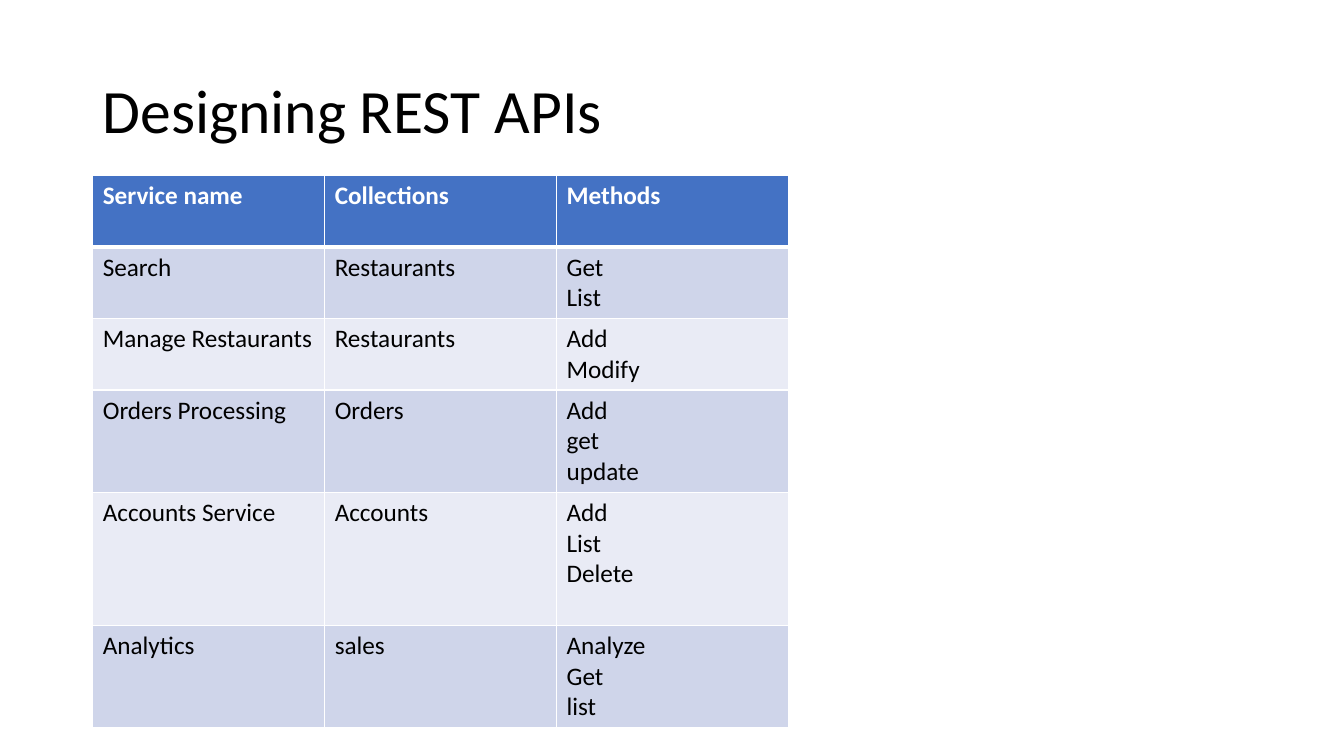
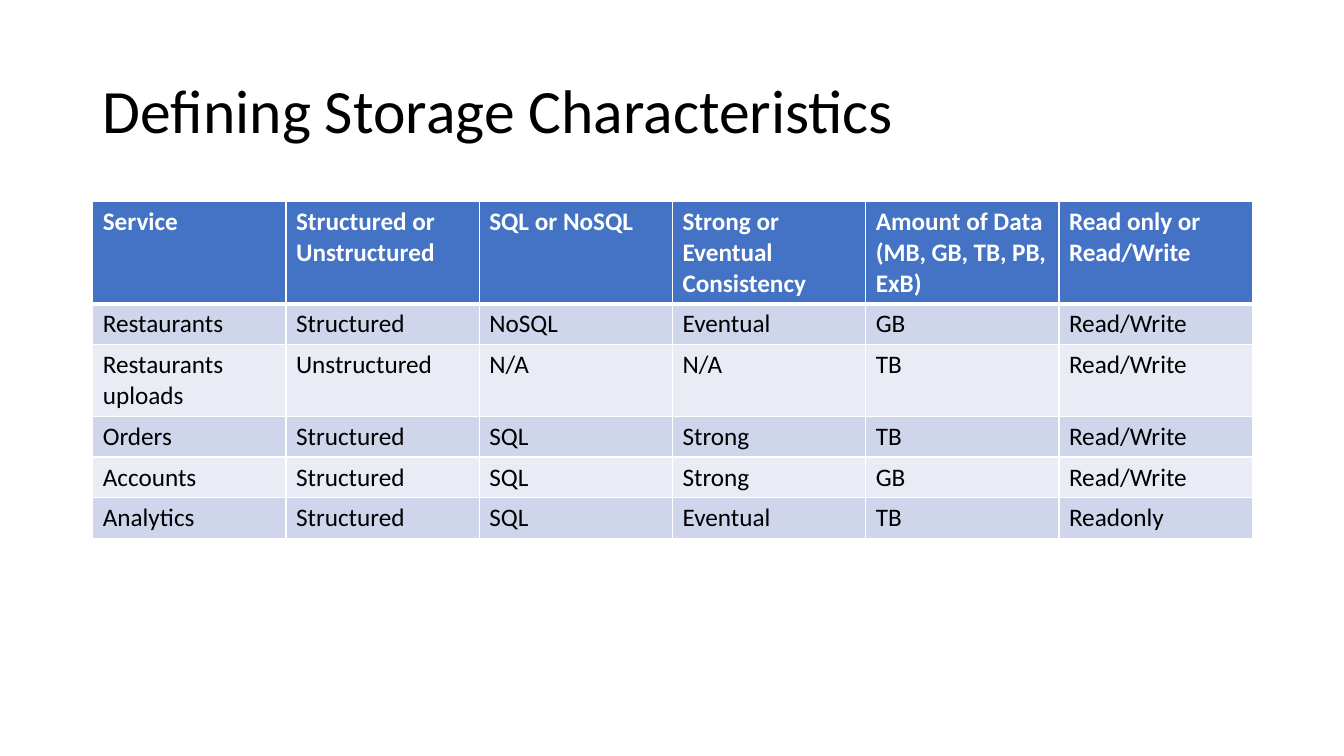
from dataclasses import dataclass

from lxml.etree import SubElement
from pptx import Presentation
from pptx.dml.color import RGBColor
from pptx.enum.text import MSO_ANCHOR
from pptx.oxml.ns import qn
from pptx.util import Inches, Pt

# "lines" is the height of each row, in lines of text; "columns" counts
# the columns that share the table's width.
SLIDES = [
    {
        "title": "Designing REST APIs",
        "top": 1.74,
        "width": 6.9,
        "lines": [2, 2, 2, 3, 4, 3],
        "rows": [
            ("Service name", "Collections", "Methods"),
            ("Search", "Restaurants", "Get\nList"),
            ("Manage Restaurants", "Restaurants", "Add\nModify"),
            ("Orders Processing", "Orders", "Add\nget\nupdate"),
            ("Accounts Service", "Accounts", "Add\nList\nDelete"),
            ("Analytics", "sales", "Analyze\nGet\nlist"),
        ],
    },
    {
        "title": "Defining Storage Characteristics",
        "top": 2,
        "width": 11.5,
        "lines": [3, 1, 2, 1, 1, 1],
        "rows": [
            ("Service", "Structured or Unstructured", "SQL or NoSQL",
             "Strong or Eventual Consistency",
             "Amount of Data (MB, GB, TB, PB, ExB)", "Read only or Read/Write"),
            ("Restaurants", "Structured", "NoSQL", "Eventual", "GB", "Read/Write"),
            ("Restaurants uploads", "Unstructured", "N/A", "N/A", "TB", "Read/Write"),
            ("Orders", "Structured", "SQL", "Strong", "TB", "Read/Write"),
            ("Accounts", "Structured", "SQL", "Strong", "GB", "Read/Write"),
            ("Analytics", "Structured", "SQL", "Eventual", "TB", "Readonly"),
        ],
    },
]


@dataclass(frozen=True)
class Theme:
    font: str = "Calibri"
    title_size: int = 44
    cell_size: int = 18
    text: str = "000000"
    white: str = "FFFFFF"
    header: str = "4472C4"
    bands: tuple = ("CFD5EA", "E9EBF5")
    rule: int = 1
    header_rule: int = 3


THEME = Theme()
WIDTH, HEIGHT = 13.33, 7.5
MARGIN = 0.92
TITLE_TOP, TITLE_WIDTH, TITLE_HEIGHT = 0.4, 11.5, 1.45
LINE_HEIGHT, CELL_PADDING = 0.305, 0.1


def write(frame, text, *, size, color=THEME.text, bold=False,
          anchor=MSO_ANCHOR.TOP, spacing=None):
    """Fill a text frame, one paragraph for each line of text."""
    frame.word_wrap = True
    frame.vertical_anchor = anchor
    frame.text = text
    for paragraph in frame.paragraphs:
        paragraph.line_spacing = spacing
        for run in paragraph.runs:
            run.font.name = THEME.font
            run.font.size = Pt(size)
            run.font.bold = bold
            run.font.color.rgb = RGBColor.from_string(color)


def set_borders(cell, top, bottom):
    """Draw white cell borders; call before the fill, which follows them in XML."""
    properties = cell._tc.get_or_add_tcPr()
    widths = {"L": THEME.rule, "R": THEME.rule, "T": top, "B": bottom}
    for side, width in widths.items():
        line = SubElement(properties, qn(f"a:ln{side}"), w=str(Pt(width)))
        SubElement(SubElement(line, qn("a:solidFill")), qn("a:srgbClr"), val=THEME.white)


def add_title(slide, title):
    box = slide.shapes.add_textbox(Inches(MARGIN), Inches(TITLE_TOP),
                                   Inches(TITLE_WIDTH), Inches(TITLE_HEIGHT))
    write(box.text_frame, title, size=THEME.title_size,
          anchor=MSO_ANCHOR.MIDDLE, spacing=0.9)


def style_cell(cell, text, row):
    is_header = row == 0
    set_borders(cell,
                top=THEME.header_rule if row == 1 else THEME.rule,
                bottom=THEME.header_rule if is_header else THEME.rule)
    cell.fill.solid()
    fill = THEME.header if is_header else THEME.bands[(row - 1) % 2]
    cell.fill.fore_color.rgb = RGBColor.from_string(fill)
    write(cell.text_frame, text, size=THEME.cell_size, bold=is_header,
          color=THEME.white if is_header else THEME.text)


def add_grid(slide, rows, lines, top, width):
    heights = [CELL_PADDING + LINE_HEIGHT * count for count in lines]
    columns = len(rows[0])
    table = slide.shapes.add_table(len(rows), columns, Inches(MARGIN), Inches(top),
                                   Inches(width), Inches(sum(heights))).table
    for column in table.columns:
        column.width = Inches(width / columns)
    for r, (texts, height) in enumerate(zip(rows, heights)):
        table.rows[r].height = Inches(height)
        for c, text in enumerate(texts):
            style_cell(table.cell(r, c), text, r)


def main():
    deck = Presentation()
    deck.slide_width, deck.slide_height = Inches(WIDTH), Inches(HEIGHT)
    blank = deck.slide_layouts[6]
    for content in SLIDES:
        slide = deck.slides.add_slide(blank)
        add_title(slide, content["title"])
        add_grid(slide, content["rows"], content["lines"],
                 content["top"], content["width"])
    deck.save("out.pptx")


if __name__ == "__main__":
    main()
